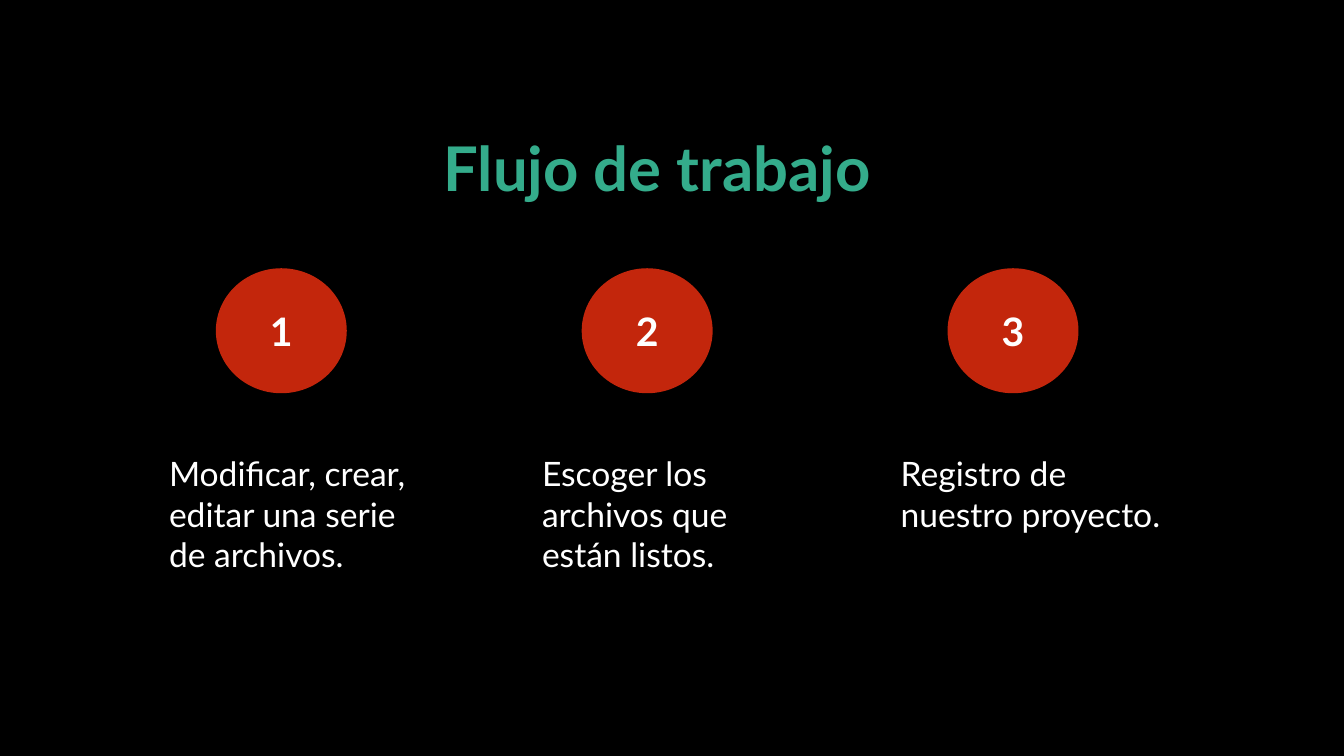
from pptx import Presentation
from pptx.dml.color import RGBColor
from pptx.enum.shapes import MSO_SHAPE as Shape
from pptx.enum.text import MSO_ANCHOR as Anchor, PP_ALIGN as Align
from pptx.util import Cm, Pt

BLACK = RGBColor(0x00, 0x00, 0x00)
WHITE = RGBColor(0xFF, 0xFF, 0xFF)
GREEN = RGBColor(0x34, 0xAC, 0x8B)
RED = RGBColor(0xC3, 0x26, 0x0C)
FONT = "Lato"

FIRST_CIRCLE_LEFT, CIRCLE_STEP = 5.44, 9.22
# Text, left, width and height (cm) of each step's description
STEPS = [
    ("Modificar, crear, editar una serie de archivos.", 4.01, 6.5, 3.33),
    ("Escoger los archivos que están listos.", 13.41, 6.15, 3.33),
    ("Registro de nuestro proyecto.", 22.45, 7.21, 2.31),
]


def write(tf, text, size, color, bold=False, align=Align.LEFT):
    tf.word_wrap = True
    p = tf.paragraphs[0]
    p.text = text
    p.alignment = align
    p.font.name = FONT
    p.font.size = Pt(size)
    p.font.bold = bold
    p.font.color.rgb = color


def set_title(s, text):
    title = s.shapes.title
    title.left, title.top = Cm(10.52), Cm(3.15)
    title.width, title.height = Cm(12.09), Cm(2.13)
    title.text_frame.vertical_anchor = Anchor.TOP
    write(title.text_frame, text, 44, GREEN, True, Align.CENTER)


def add_number(s, number, left):
    sp = s.shapes.add_shape(Shape.FLOWCHART_CONNECTOR,
                            Cm(left), Cm(6.76), Cm(3.3), Cm(3.15))
    sp.shadow.inherit = False
    sp.fill.solid()
    sp.fill.fore_color.rgb = RED
    sp.line.fill.background()
    sp.text_frame.vertical_anchor = Anchor.MIDDLE
    write(sp.text_frame, str(number), 28, WHITE, True, Align.CENTER)


def add_description(s, text, left, width, height):
    box = s.shapes.add_textbox(Cm(left), Cm(11.3), Cm(width), Cm(height))
    write(box.text_frame, text, 24, WHITE)


def main():
    prs = Presentation()
    prs.slide_width, prs.slide_height = Cm(33.87), Cm(19.05)
    s = prs.slides.add_slide(prs.slide_layouts.get_by_name("Title Only"))
    s.background.fill.solid()
    s.background.fill.fore_color.rgb = BLACK

    set_title(s, "Flujo de trabajo")
    for i, (text, left, width, height) in enumerate(STEPS):
        add_number(s, i + 1, FIRST_CIRCLE_LEFT + i * CIRCLE_STEP)
        add_description(s, text, left, width, height)
    prs.save("out.pptx")


if __name__ == "__main__":
    main()
